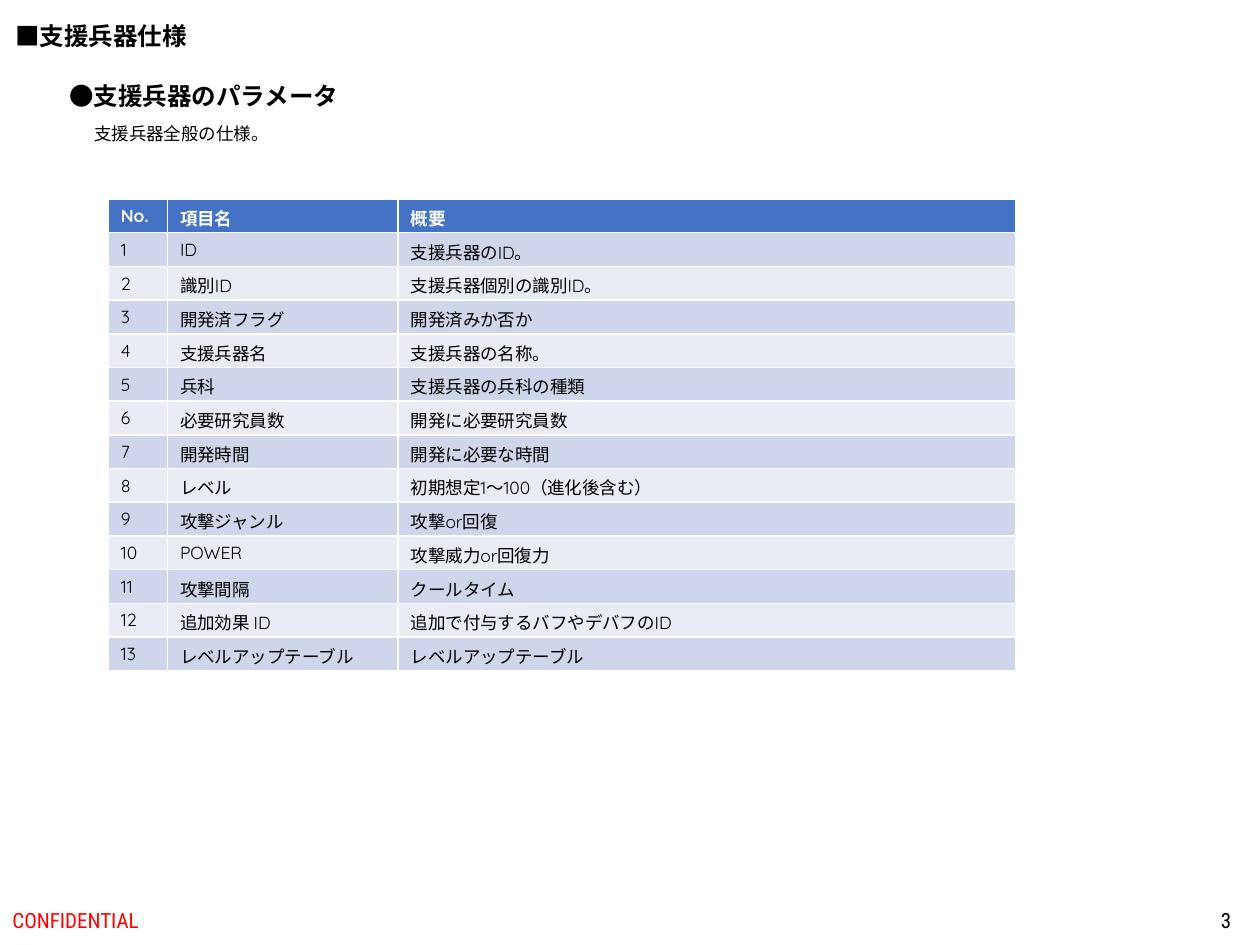
from pptx import Presentation
from pptx.dml.color import RGBColor
from pptx.enum.text import MSO_ANCHOR as Anchor, MSO_AUTO_SIZE as AutoSize, PP_ALIGN as Align
from pptx.util import Inches, Pt

BLACK = RGBColor(0x00, 0x00, 0x00)
WHITE = RGBColor(0xFF, 0xFF, 0xFF)
RED = RGBColor(0xFF, 0x00, 0x00)
HEADER = RGBColor(0x44, 0x72, 0xC4)
BANDS = [RGBColor(0xE9, 0xEB, 0xF5), RGBColor(0xCF, 0xD5, 0xEA)]

COLUMNS = [0.47, 1.83, 4.9]
HEADINGS = ("No.", "項目名", "概要")
PARAMETERS = [
    ("ID", "支援兵器のID。"),
    ("識別ID", "支援兵器個別の識別ID。"),
    ("開発済フラグ", "開発済みか否か"),
    ("支援兵器名", "支援兵器の名称。"),
    ("兵科", "支援兵器の兵科の種類"),
    ("必要研究員数", "開発に必要研究員数"),
    ("開発時間", "開発に必要な時間"),
    ("レベル", "初期想定1～100（進化後含む）"),
    ("攻撃ジャンル", "攻撃or回復"),
    ("POWER", "攻撃威力or回復力"),
    ("攻撃間隔", "クールタイム"),
    ("追加効果 ID", "追加で付与するバフやデバフのID"),
    ("レベルアップテーブル", "レベルアップテーブル"),
]


class SpecSlide:
    body_font = "Quicksand"
    title_font = "Arial"
    footer_font = "Roboto Condensed"

    def __init__(self, prs):
        self.s = prs.slides.add_slide(prs.slide_layouts[5])

    def set_text(self, tf, text, size, font, color=BLACK, bold=False, align=Align.LEFT):
        tf.text = text
        p = tf.paragraphs[0]
        p.alignment = align
        for r in p.runs:
            r.font.size = Pt(size)
            r.font.name = font
            r.font.bold = bold
            r.font.color.rgb = color

    def fit(self, tf):
        tf.word_wrap = False
        tf.auto_size = AutoSize.SHAPE_TO_FIT_TEXT
        tf.vertical_anchor = Anchor.TOP

    def title(self, text, x, y, w, h):
        sp = self.s.shapes.title
        sp.left, sp.top, sp.width, sp.height = map(Inches, (x, y, w, h))
        self.set_text(sp.text_frame, text, 14, self.title_font, bold=True)
        self.fit(sp.text_frame)

    def label(self, text, x, y, w, h, size, bold=False):
        tf = self.s.shapes.add_textbox(*map(Inches, (x, y, w, h))).text_frame
        self.set_text(tf, text, size, self.body_font, bold=bold)
        self.fit(tf)

    def footer(self, text, x, w, color, align):
        tf = self.s.shapes.add_textbox(*map(Inches, (x, 7.1, w, 0.4))).text_frame
        self.set_text(tf, text, 12, self.footer_font, color, align=align)
        tf.word_wrap = True
        tf.vertical_anchor = Anchor.MIDDLE

    def table(self, rows, columns, x, y, h):
        frame = self.s.shapes.add_table(
            len(rows), len(columns), Inches(x), Inches(y), Inches(sum(columns)), Inches(h))
        table = frame.table
        for column, width in zip(table.columns, columns):
            column.width = Inches(width)
        for i, row in enumerate(rows):
            head = i == 0
            for j, text in enumerate(row):
                cell = table.cell(i, j)
                cell.fill.solid()
                cell.fill.fore_color.rgb = HEADER if head else BANDS[i % 2]
                self.set_text(cell.text_frame, text, 10, self.body_font,
                              WHITE if head else BLACK, head)


def main():
    prs = Presentation()
    prs.slide_width, prs.slide_height = Inches(10), Inches(7.5)
    slide = SpecSlide(prs)
    slide.title("■支援兵器仕様", 0.02, 0.12, 1.58, 0.34)
    slide.footer("CONFIDENTIAL", 0, 3.38, RED, Align.LEFT)
    slide.footer("3", 7.62, 2.25, BLACK, Align.RIGHT)
    slide.label("●支援兵器のパラメータ", 0.45, 0.59, 2.36, 0.34, 14, bold=True)
    slide.label("支援兵器全般の仕様。", 0.65, 0.93, 1.6, 0.27, 10)
    rows = [HEADINGS] + [(str(n), *item) for n, item in enumerate(PARAMETERS, 1)]
    slide.table(rows, COLUMNS, 0.86, 1.58, 3.73)
    prs.save("out.pptx")


if __name__ == "__main__":
    main()
